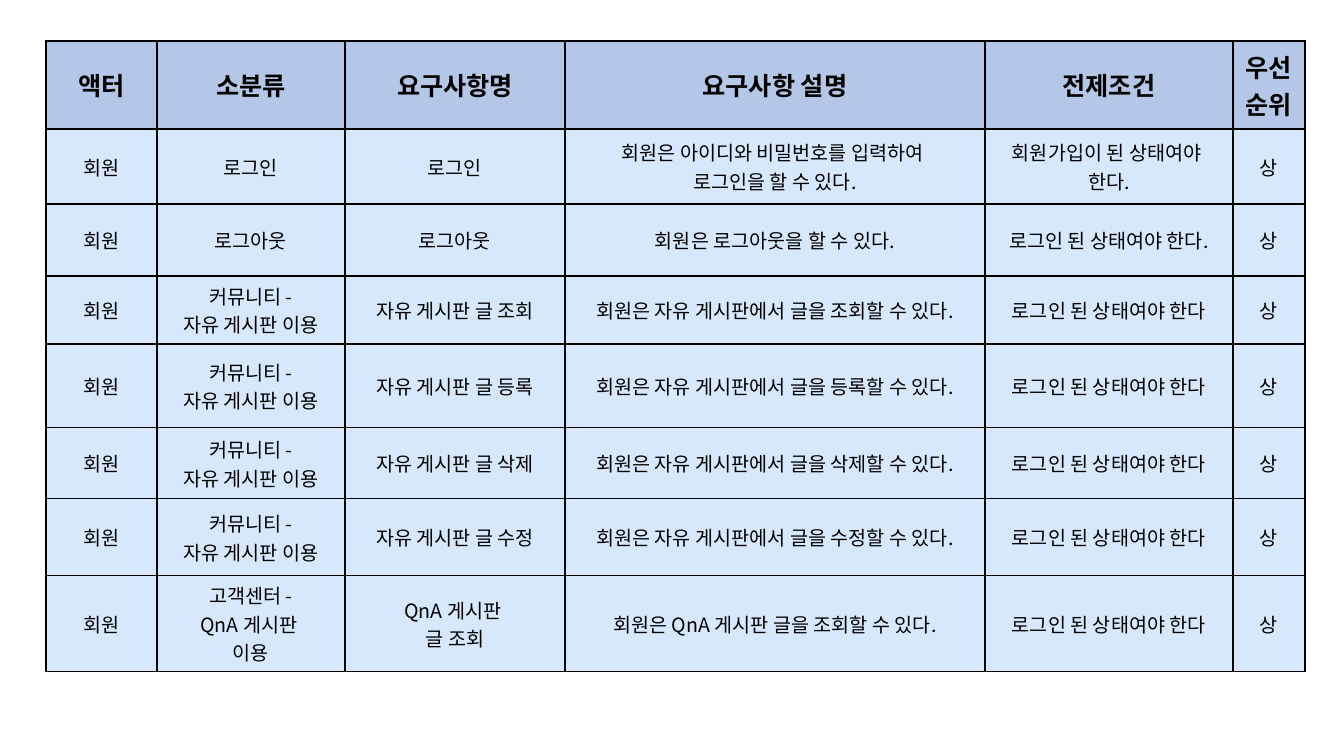
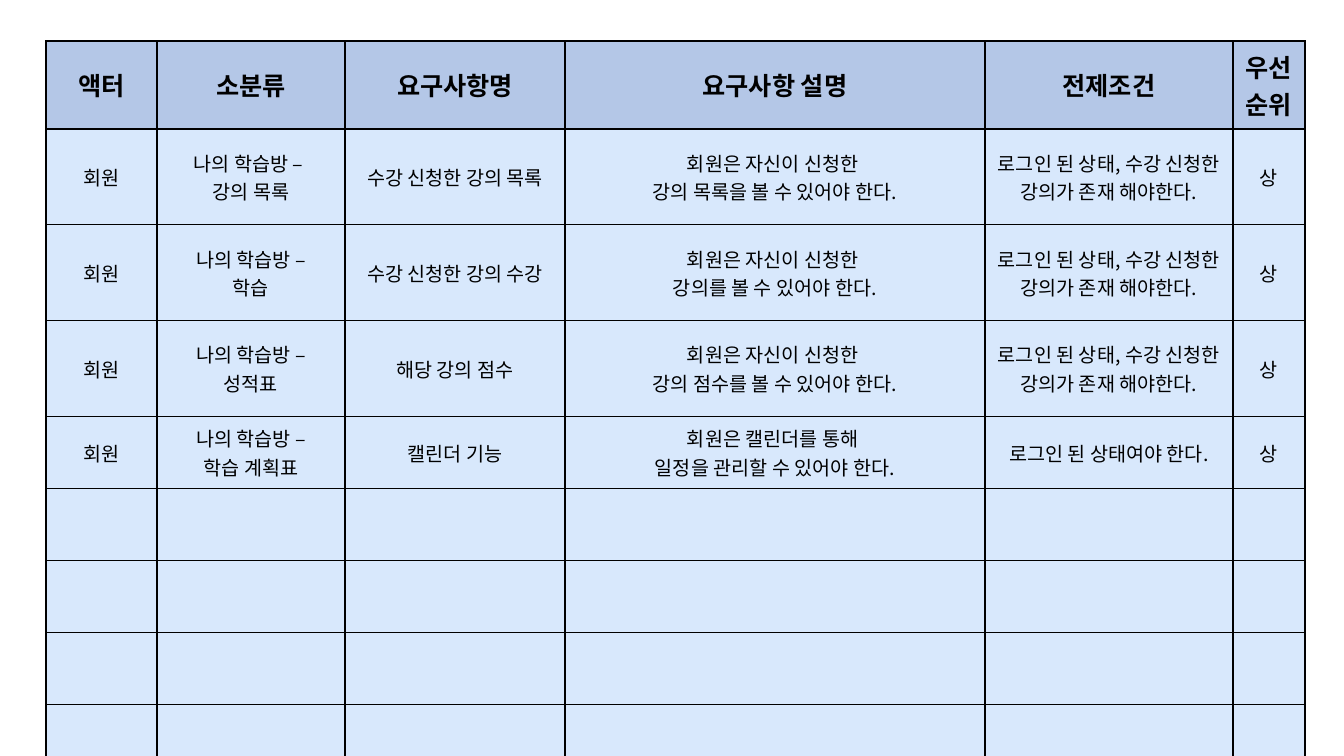
"""Build two slides of requirement tables."""
from dataclasses import astuple, dataclass
from itertools import chain, repeat

from lxml.etree import SubElement
from pptx import Presentation
from pptx.dml.color import RGBColor
from pptx.enum.text import MSO_ANCHOR as Anchor, PP_ALIGN as Align
from pptx.oxml.ns import qn
from pptx.util import Emu, Pt

PX_PER_INCH = 100.8
FONT = "Noto Sans CJK KR"
BLACK = RGBColor(0x00, 0x00, 0x00)
HEADER_BLUE = RGBColor(0xB4, 0xC7, 0xE7)
BODY_BLUE = RGBColor(0xD8, 0xE8, 0xFC)

SLIDE_SIZE = (1344, 756)
TABLE_LEFT, TABLE_TOP = 46, 41
COL_WIDTHS = (111, 188, 220, 420, 248, 72)
HEADER_HEIGHT = 88
HEADINGS = ("액터", "소분류", "요구사항명", "요구사항 설명", "전제조건", "우선순위")

LOGGED_IN = "로그인 된 상태여야 한다"
ENROLLED = "로그인 된 상태, 수강 신청한 강의가 존재 해야한다."


@dataclass(frozen=True)
class CellStyle:
    """Look of one kind of table cell."""
    fill: RGBColor
    size: int
    bold: bool


@dataclass(frozen=True)
class Requirement:
    """One table row, with its fields in column order."""
    actor: str
    category: str
    name: str
    description: str
    precondition: str
    priority: str


HEADER = CellStyle(HEADER_BLUE, 18, True)
BODY = CellStyle(BODY_BLUE, 14, False)


def member(category: str, name: str, description: str, precondition: str) -> Requirement:
    """Return a high-priority requirement of a member."""
    return Requirement("회원", category, name, description, precondition, "상")


def board(action: str) -> Requirement:
    """Return the requirement for one action on the free board."""
    return member("커뮤니티 -\n자유 게시판 이용", f"자유 게시판 글 {action}",
                  f"회원은 자유 게시판에서 글을 {action}할 수 있다.", LOGGED_IN)


ACCOUNT_AND_BOARDS = (
    member("로그인", "로그인", "회원은 아이디와 비밀번호를 입력하여 \n로그인을 할 수 있다.",
           "회원가입이 된 상태여야 \n한다."),
    member("로그아웃", "로그아웃", "회원은 로그아웃을 할 수 있다.", f"{LOGGED_IN}."),
    *map(board, ("조회", "등록", "삭제", "수정")),
    member("고객센터 -\nQnA 게시판 \n이용", "QnA 게시판 \n글 조회",
           "회원은 QnA 게시판 글을 조회할 수 있다.", LOGGED_IN),
)
STUDY_ROOM = (
    member("나의 학습방 – \n강의 목록", "수강 신청한 강의 목록",
           "회원은 자신이 신청한 \n강의 목록을 볼 수 있어야 한다.", ENROLLED),
    member("나의 학습방 –\n학습", "수강 신청한 강의 수강",
           "회원은 자신이 신청한 \n강의를 볼 수 있어야 한다.", ENROLLED),
    member("나의 학습방 –\n성적표", "해당 강의 점수",
           "회원은 자신이 신청한 \n강의 점수를 볼 수 있어야 한다.", ENROLLED),
    member("나의 학습방 –\n학습 계획표", "캘린더 기능",
           "회원은 캘린더를 통해 \n일정을 관리할 수 있어야 한다.", f"{LOGGED_IN}."),
)
PAGES = (
    (ACCOUNT_AND_BOARDS, (75, 72, 68, 84, 71, 77, 88)),
    (STUDY_ROOM, (68, 75, *repeat(72, 6))),
)


def px(length: int) -> Emu:
    """Turn pixels into EMU."""
    return Emu(round(length * 914400 / PX_PER_INCH))


def add_borders(cell) -> None:
    """Draw a thin black line on each side of a cell."""
    tc_pr = cell._tc.get_or_add_tcPr()
    for side in ("lnL", "lnR", "lnT", "lnB"):
        ln = SubElement(tc_pr, qn(f"a:{side}"), w=str(Pt(1)))
        fill = SubElement(ln, qn("a:solidFill"))
        SubElement(fill, qn("a:srgbClr"), val=str(BLACK))


def fill_cell(cell, text: str, style: CellStyle) -> None:
    """Format one cell and write its text."""
    add_borders(cell)
    cell.fill.solid()
    cell.fill.fore_color.rgb = style.fill
    cell.vertical_anchor = Anchor.MIDDLE
    cell.text_frame.text = text
    font_format = {"name": FONT, "size": Pt(style.size), "bold": style.bold}
    for p in cell.text_frame.paragraphs:
        p.alignment = Align.CENTER
        for r in p.runs:
            for key, value in font_format.items():
                setattr(r.font, key, value)
            r.font.color.rgb = BLACK
            SubElement(r.font._element, qn("a:ea"), typeface=FONT)


def add_requirements(s, requirements: tuple[Requirement, ...], heights: tuple[int, ...]) -> None:
    """Add the table, leaving rows without a requirement blank."""
    row_heights = (HEADER_HEIGHT, *heights)
    frame = s.shapes.add_table(len(row_heights), len(COL_WIDTHS), px(TABLE_LEFT), px(TABLE_TOP),
                               px(sum(COL_WIDTHS)), px(sum(row_heights)))
    table = frame.table
    table.first_row = table.horz_banding = False
    for column, width in zip(table.columns, COL_WIDTHS):
        column.width = px(width)
    blank = ("",) * len(COL_WIDTHS)
    texts = chain([HEADINGS], map(astuple, requirements), repeat(blank))
    styles = chain([HEADER], repeat(BODY))
    for row, height, values, style in zip(table.rows, row_heights, texts, styles):
        row.height = px(height)
        for cell, text in zip(row.cells, values):
            fill_cell(cell, text, style)


def main() -> None:
    """Build and save the presentation."""
    prs = Presentation()
    prs.slide_width, prs.slide_height = map(px, SLIDE_SIZE)
    for requirements, heights in PAGES:
        s = prs.slides.add_slide(prs.slide_layouts[6])
        add_requirements(s, requirements, heights)
    prs.save("out.pptx")


if __name__ == "__main__":
    main()
